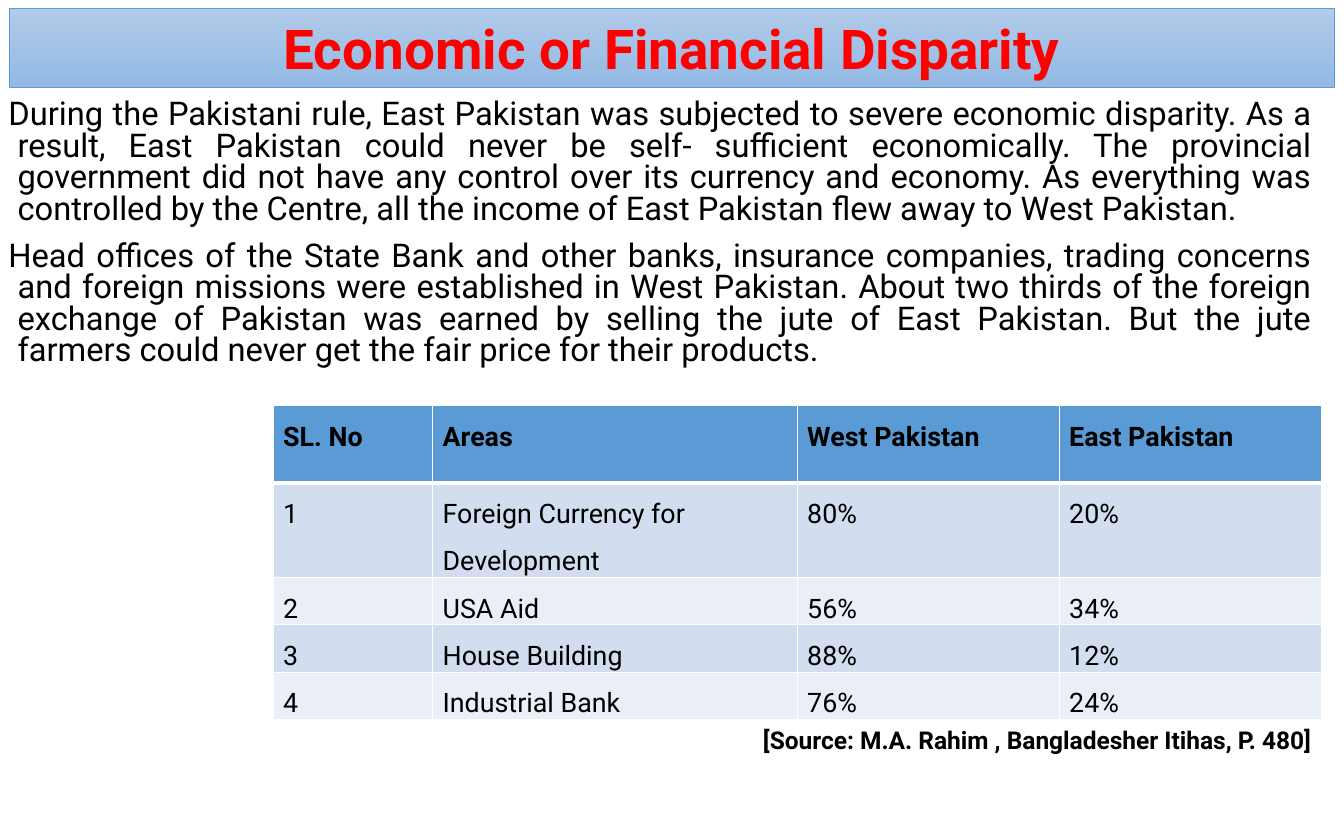
from lxml.etree import SubElement
from pptx import Presentation
from pptx.dml.color import RGBColor
from pptx.enum.text import MSO_ANCHOR, MSO_AUTO_SIZE, PP_ALIGN
from pptx.oxml.ns import qn
from pptx.util import Inches, Pt

HUES = {"ink": "000000", "red": "FF0000", "blue": "5B9BD5", "white": "FFFFFF",
        "top": "B1CBE9", "base": "93B9E4", "dark": "D2DEEF", "light": "EAEFF7"}
COLS, ROWS = 160, 100

BODY = [
    "During the Pakistani rule, East Pakistan was subjected to severe economic disparity. "
    "As a result, East Pakistan could never be self- sufficient economically. "
    "The provincial government did not have any control over its currency and economy. "
    "As everything was controlled by the Centre, all the income of East Pakistan "
    "flew away to West Pakistan.",
    "Head offices of the State Bank and other banks, insurance companies, trading concerns "
    "and foreign missions were established in West Pakistan. "
    "About two thirds of the foreign exchange of Pakistan was earned by selling the jute "
    "of East Pakistan. But the jute farmers could never get the fair price for their products.",
]
SHARES = [
    ["SL. No", "Areas", "West Pakistan", "East Pakistan"],
    ["1", "Foreign Currency for Development", "80%", "20%"],
    ["2", "USA Aid", "56%", "34%"],
    ["3", "House Building", "88%", "12%"],
    ["4", "Industrial Bank", "76%", "24%"],
]


def hue(name):
    return RGBColor.from_string(HUES[name])


class Deck:
    def __init__(self, font):
        self.font = font
        self.prs = Presentation()
        self.prs.slide_width, self.prs.slide_height = Inches(16), Inches(10)
        self.slide = self.prs.slides.add_slide(self.prs.slide_layouts[1])

    def across(self, n):
        return int(self.prs.slide_width * n / COLS)

    def down(self, n):
        return int(self.prs.slide_height * n / ROWS)

    def frame(self, x, y, w, h):
        return self.across(x), self.down(y), self.across(w), self.down(h)

    def move(self, shape, box):
        shape.left, shape.top, shape.width, shape.height = self.frame(*box)

    def style(self, para, size, color="ink", bold=False, align=PP_ALIGN.LEFT, lead=1.0):
        font = para.font
        font.name, font.size, font.bold = self.font, Pt(size), bold
        font.color.rgb = hue(color)
        para.alignment, para.line_spacing = align, lead

    def title(self, text, box):
        shape = self.slide.shapes.title
        self.move(shape, box)
        shape.fill.gradient()
        shape.fill.gradient_angle = 270
        for stop, name in zip(shape.fill.gradient_stops, ("top", "base")):
            stop.color.rgb = hue(name)
        shape.line.color.rgb, shape.line.width = hue("blue"), Pt(0.5)
        text_frame = shape.text_frame
        text_frame.text = text
        text_frame.auto_size = MSO_AUTO_SIZE.NONE
        text_frame.vertical_anchor = MSO_ANCHOR.MIDDLE
        self.style(text_frame.paragraphs[0], 47, "red", True, PP_ALIGN.CENTER)

    def body(self, texts, box):
        shape = self.slide.placeholders[1]
        self.move(shape, box)
        text_frame = shape.text_frame
        text_frame.text = "\n".join(texts)
        text_frame.auto_size = MSO_AUTO_SIZE.NONE
        for para in text_frame.paragraphs:
            self.style(para, 28, align=PP_ALIGN.JUSTIFY, lead=0.8)
            para.space_before = Pt(13.6)
            # Hanging indent without a bullet
            props = para._p.get_or_add_pPr()
            props.set("marL", str(Inches(0.11)))
            props.set("indent", str(-Inches(0.11)))
            SubElement(props, qn("a:buNone"))

    def note(self, text, box):
        text_frame = self.slide.shapes.add_textbox(*self.frame(*box)).text_frame
        text_frame.word_wrap = True
        text_frame.vertical_anchor = MSO_ANCHOR.MIDDLE
        text_frame.text = text
        self.style(text_frame.paragraphs[0], 21, bold=True, align=PP_ALIGN.RIGHT)

    def edge(self, cell, head):
        props = cell._tc.get_or_add_tcPr()
        for side in "LRTB":
            width = 3 if head and side == "B" else 1
            line = SubElement(props, qn(f"a:ln{side}"), w=str(Pt(width)))
            fill = SubElement(line, qn("a:solidFill"))
            SubElement(fill, qn("a:srgbClr"), val=HUES["white"])

    def table(self, data, box, widths, heights):
        grid = self.slide.shapes.add_table(len(data), len(data[0]), *self.frame(*box)).table
        for col, width in zip(grid.columns, widths):
            col.width = self.across(width)
        for i, (row, height) in enumerate(zip(grid.rows, heights)):
            row.height = self.down(height)
            tint = "blue" if i == 0 else "dark" if i % 2 else "light"
            for cell, text in zip(row.cells, data[i]):
                cell.text = text
                cell.margin_left = cell.margin_right = Inches(0.12)
                cell.margin_top = cell.margin_bottom = 0
                self.edge(cell, i == 0)
                cell.fill.solid()
                cell.fill.fore_color.rgb = hue(tint)
                self.style(cell.text_frame.paragraphs[0], 23, bold=i == 0, lead=1.5)


def main():
    deck = Deck("Roboto")
    # Heading and text
    deck.title("Economic or Financial Disparity", (1.1, 1, 157.8, 9.4))
    deck.body(BODY, (0, 11.5, 157.1, 34))
    # Shares by area, with their source
    deck.table(SHARES, (32.5, 48.3, 124.8, 31.3), [19, 43.4, 31.2, 31.2],
               [9.2, 9.2, 4.3, 4.3, 4.3])
    deck.note("[Source: M.A. Rahim , Bangladesher Itihas, P. 480]", (80, 85.6, 77.1, 5))
    deck.prs.save("out.pptx")


if __name__ == "__main__":
    main()
